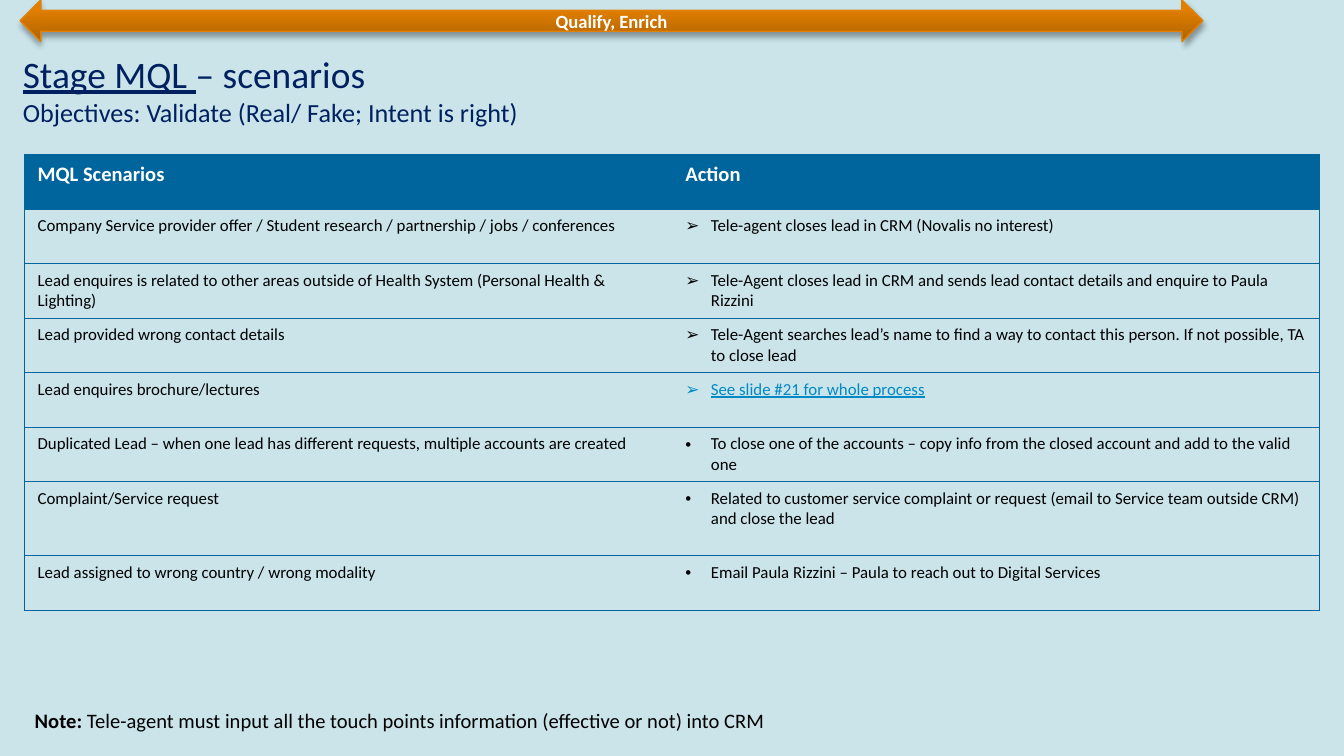
"""Build the MQL stage slide with its table of scenarios and actions."""
from dataclasses import dataclass
from typing import Any

from pptx import Presentation
from pptx.dml.color import RGBColor
from pptx.enum.shapes import MSO_SHAPE
from pptx.enum.text import MSO_ANCHOR, PP_ALIGN
from pptx.oxml import parse_xml
from pptx.oxml.ns import nsdecls, qn
from pptx.util import Inches, Pt

ARROW = MSO_SHAPE.LEFT_RIGHT_ARROW
MIDDLE = MSO_ANCHOR.MIDDLE
CENTER = PP_ALIGN.CENTER

COLORS = {
    "background": "CAE4EA",
    "title": "002060",
    "text": "000000",
    "header": "00649D",
    "white": "FFFFFF",
    "link": "0089C4",
    "arrow_line": "E48000",
}
ARROW_STOPS = ((0, "AE6200"), (80, "E27F00"), (100, "E38000"))
FONT = "Calibri"
CHEVRON, DOT = "➢", "•"


@dataclass
class Scenario:
    name: str
    action: str
    bullet: str = CHEVRON
    is_link: bool = False


SCENARIOS = (
    Scenario("Company Service provider offer / Student research / partnership / jobs / conferences",
             "Tele-agent closes lead in CRM (Novalis no interest)"),
    Scenario("Lead enquires is related to other areas outside of Health System "
             "(Personal Health & Lighting)",
             "Tele-Agent closes lead in CRM and sends lead contact details and enquire to Paula Rizzini"),
    Scenario("Lead provided wrong contact details",
             "Tele-Agent searches lead’s name to find a way to contact this person. "
             "If not possible, TA to close lead"),
    Scenario("Lead enquires brochure/lectures", "See slide #21 for whole process", is_link=True),
    Scenario("Duplicated Lead – when one lead has different requests, multiple accounts are created",
             "To close one of the accounts – copy info from the closed account and add to the valid one",
             DOT),
    Scenario("Complaint/Service request",
             "Related to customer service complaint or request (email to Service team outside CRM) "
             "and close the lead", DOT),
    Scenario("Lead assigned to wrong country / wrong modality",
             "Email Paula Rizzini – Paula to reach out to Digital Services", DOT),
)
TALL_ROW = 6


def rgb(name: str) -> RGBColor:
    return RGBColor.from_string(COLORS[name])


def add_run(paragraph: Any, text: str, size: float, color: str, **formats: bool) -> None:
    run = paragraph.add_run()
    run.text = text
    values = {"name": FONT, "size": Pt(size), "bold": False, "underline": False} | formats
    for attribute, value in values.items():
        setattr(run.font, attribute, value)
    run.font.color.rgb = rgb(color)


def add_text_box(slide: Any, left: float, top: float, width: float, height: float) -> Any:
    frame = slide.shapes.add_textbox(
        Inches(left), Inches(top), Inches(width), Inches(height)).text_frame
    frame.word_wrap = True
    return frame


def add_title(slide: Any) -> None:
    frame = add_text_box(slide, 0.17, 0.38, 7.83, 0.42)
    for side in ("left", "top", "right", "bottom"):
        setattr(frame, f"margin_{side}", 0)
    heading = frame.paragraphs[0]
    add_run(heading, "Stage MQL ", 20, "title", underline=True)
    add_run(heading, "– scenarios", 20, "title")
    heading.add_line_break()
    add_run(heading, "Objectives: Validate (Real/ Fake; Intent is right)", 14, "title")


def add_note(slide: Any) -> None:
    paragraph = add_text_box(slide, 0.16, 5.22, 8.71, 0.29).paragraphs[0]
    add_run(paragraph, "Note: ", 11, "text", bold=True)
    add_run(paragraph, "Tele-agent must input all the touch points information "
            "(effective or not) into CRM", 11, "text")


def set_bullet(paragraph: Any, character: str) -> None:
    properties = paragraph._p.get_or_add_pPr()
    properties.set("marL", str(Inches(0.19)))
    properties.set("indent", str(-Inches(0.19)))
    properties.append(parse_xml(f'<a:buFont {nsdecls("a")} typeface="Arial"/>'))
    properties.append(parse_xml(f'<a:buChar {nsdecls("a")} char="{character}"/>'))


def set_borders(cell: Any, inner_side: str) -> None:
    properties = cell._tc.get_or_add_tcPr()
    solid = f'<a:solidFill><a:srgbClr val="{COLORS["header"]}"/></a:solidFill>'
    for side in "LRTB":
        paint = "<a:noFill/>" if side == inner_side else solid
        properties.append(parse_xml(
            f'<a:ln{side} {nsdecls("a")} w="{Pt(0.75)}">{paint}</a:ln{side}>'))


def add_scenario_table(slide: Any) -> None:
    table = slide.shapes.add_table(
        len(SCENARIOS) + 1, 2, Inches(0.18), Inches(1.15), Inches(9.64), Inches(3.25)).table
    table.first_row = table.horz_banding = False
    table.rows[TALL_ROW].height = Inches(0.55)
    for row in table.rows:
        for cell, inner_side in zip(row.cells, "RL"):
            set_borders(cell, inner_side)
            cell.fill.background()
    for cell, text in zip(table.rows[0].cells, ("MQL Scenarios", "Action")):
        cell.fill.solid()
        cell.fill.fore_color.rgb = rgb("header")
        add_run(cell.text_frame.paragraphs[0], text, 11, "white", bold=True)
    for index, scenario in enumerate(SCENARIOS, 1):
        name, action = (table.cell(index, column).text_frame.paragraphs[0] for column in (0, 1))
        add_run(name, scenario.name, 9, "text")
        set_bullet(action, scenario.bullet)
        add_run(action, scenario.action, 9, "link" if scenario.is_link else "text",
                underline=scenario.is_link)


def add_stage_arrow(slide: Any) -> None:
    shape = slide.shapes.add_shape(ARROW, Inches(0.15), 0, Inches(8.8), Inches(0.31))
    shape.fill.gradient()
    shape.fill.gradient_angle = 90
    shape.line.color.rgb = rgb("arrow_line")
    shape.line.width = Pt(0.75)
    shape.shadow.inherit = False
    properties = shape._element.spPr
    stops = properties.find(qn("a:gradFill")).find(qn("a:gsLst"))
    stops[:] = [parse_xml(f'<a:gs {nsdecls("a")} pos="{position * 1000}">'
                          f'<a:srgbClr val="{color}"/></a:gs>')
                for position, color in ARROW_STOPS]
    properties.find(qn("a:effectLst")).append(parse_xml(
        f'<a:outerShdw {nsdecls("a")} blurRad="{Pt(3.1)}" dist="{Pt(1.8)}" dir="5400000" '
        'rotWithShape="0"><a:srgbClr val="000000"><a:alpha val="35000"/></a:srgbClr></a:outerShdw>'))
    frame = shape.text_frame
    frame.vertical_anchor = MIDDLE
    paragraph = frame.paragraphs[0]
    paragraph.alignment = CENTER
    add_run(paragraph, "Qualify, Enrich", 10, "white", bold=True)


def main() -> None:
    presentation = Presentation()
    presentation.slide_width = Inches(10)
    presentation.slide_height = Inches(10) * 9 // 16
    slide = presentation.slides.add_slide(presentation.slide_layouts[6])
    slide.background.fill.solid()
    slide.background.fill.fore_color.rgb = rgb("background")
    add_title(slide)
    add_note(slide)
    add_scenario_table(slide)
    add_stage_arrow(slide)
    presentation.save("out.pptx")


if __name__ == "__main__":
    main()
